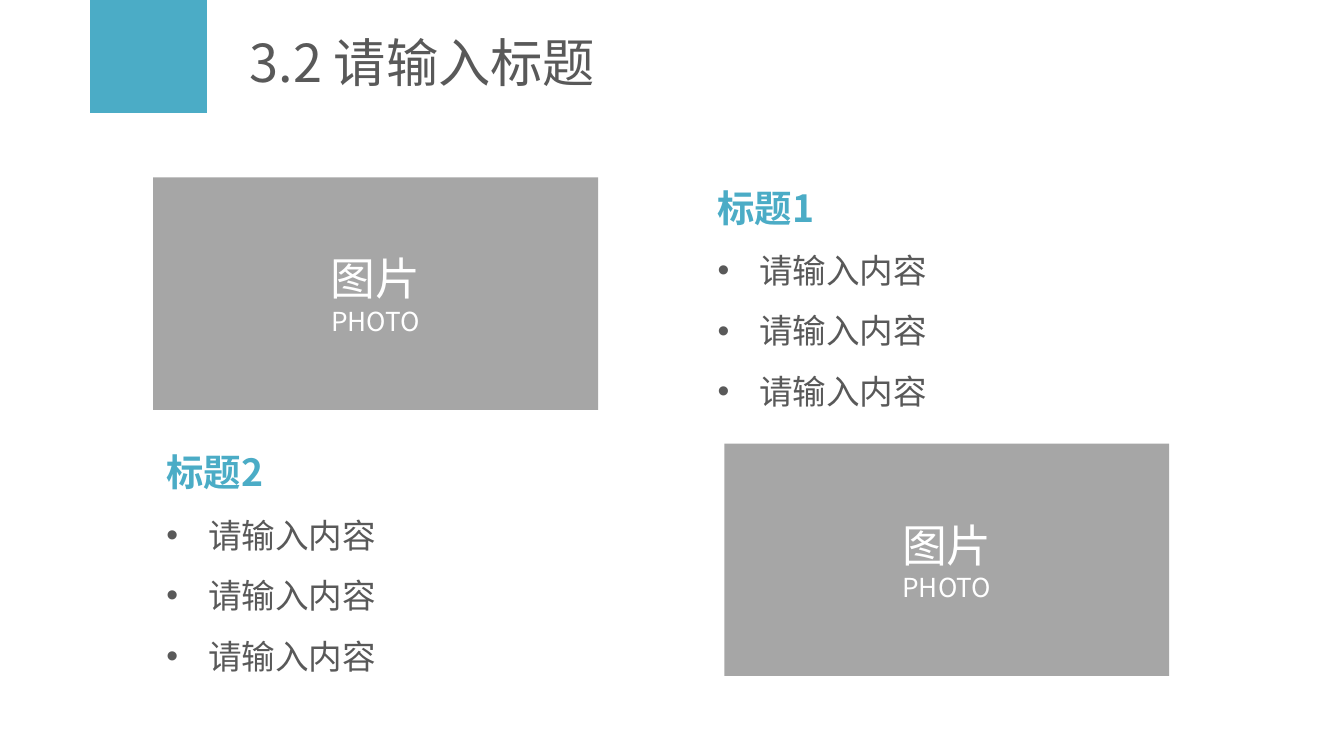
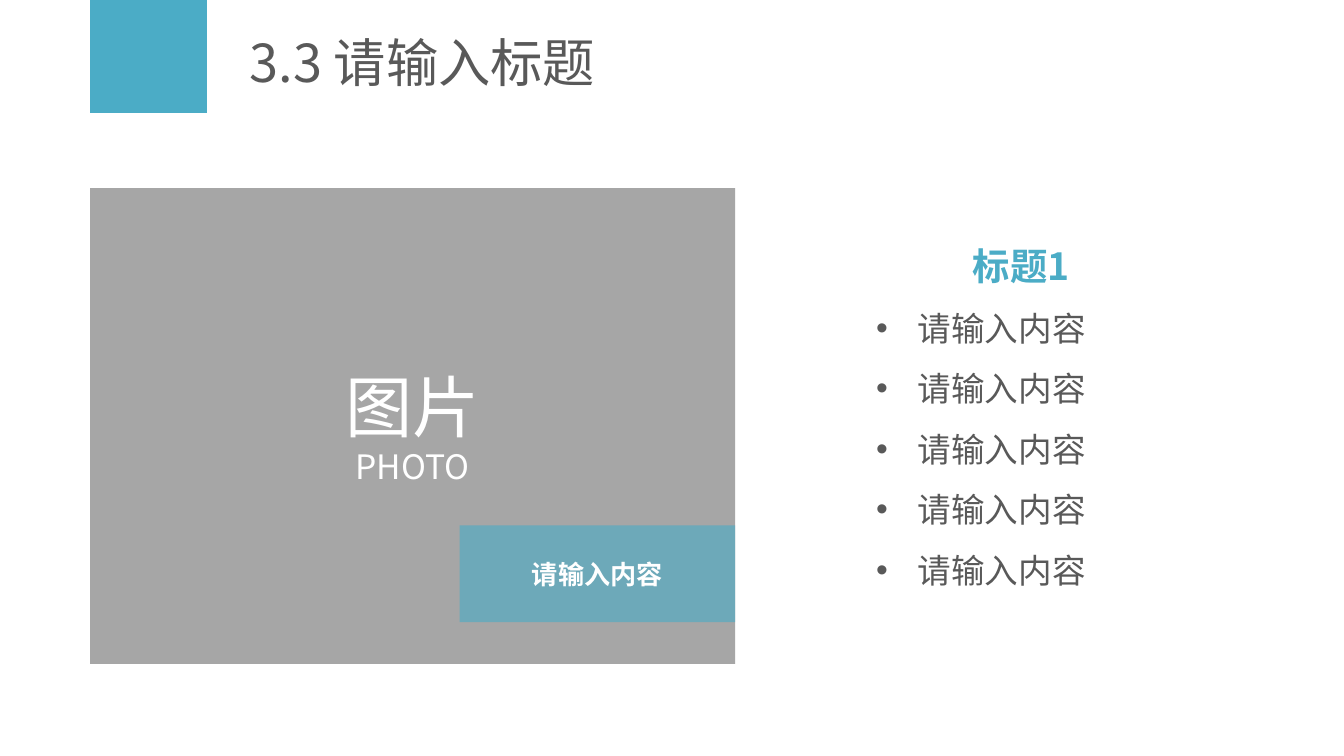
from lxml import etree
from pptx import Presentation
from pptx import util as u
from pptx.dml.color import RGBColor
from pptx.enum import shapes, text
from pptx.oxml.ns import qn

FONT = "Noto Sans CJK SC"
TEAL, GREY, DARK, WHITE = "4BACC6", "A6A6A6", "595959", "FFFFFF"
LEFT, CENTER = text.PP_ALIGN.LEFT, text.PP_ALIGN.CENTER
INDENT = u.Inches(0.31)

presentation = Presentation()
presentation.slide_width = u.Inches(10)
presentation.slide_height = u.Inches(5.625)
column = presentation.slide_width / 100
row = presentation.slide_height / 100


def color(hex_string):
    return RGBColor.from_string(hex_string)


def add_box(slide, area, lines, fill=None, align=LEFT, anchor=text.MSO_ANCHOR.MIDDLE, spacing=None):
    left, top, width, height = area
    place = [round(n) for n in (left * column, top * row, width * column, height * row)]
    if fill:
        shape = slide.shapes.add_shape(shapes.MSO_SHAPE.RECTANGLE, *place)
        shape.shadow.inherit = False
        shape.fill.solid()
        shape.fill.fore_color.rgb = color(fill)
        shape.line.fill.background()
    else:
        shape = slide.shapes.add_textbox(*place)
    frame = shape.text_frame
    frame.word_wrap = True
    frame.vertical_anchor = anchor
    frame.text = "\n".join(line[0] for line in lines)
    for paragraph, (_, size, ink, bold) in zip(frame.paragraphs, lines):
        paragraph.alignment = align
        paragraph.line_spacing = spacing
        paragraph.font.name = FONT
        paragraph.font.size = u.Pt(size)
        paragraph.font.bold = bold
        paragraph.font.color.rgb = color(ink)
        for run in paragraph.runs:
            properties = run.font._element
            etree.SubElement(properties, qn("a:ea"), typeface=FONT)
    return shape


slides = [
    {
        "title": "3.2 请输入标题",
        "photos": [((11.4, 23.47, 33.1, 30.76), 24, 14), ((53.9, 58.67, 33.1, 30.76), 24, 14)],
        "lists": [
            ((52.4, 20.62, 26.8, 35), "标题1", LEFT, 3),
            ((11.4, 55.64, 26.8, 35), "标题2", LEFT, 3),
        ],
    },
    {
        "title": "3.3 请输入标题",
        "photos": [((6.7, 24.89, 48, 62.93), 36, 18)],
        "caption": (34.2, 69.51, 20.5, 12.8),
        "lists": [((64.2, 28.27, 23.6, 51.2), "标题1", CENTER, 5)],
    },
]

for content in slides:
    slide = presentation.slides.add_slide(presentation.slide_layouts[6])
    add_box(slide, (6.7, 0, 8.7, 14.93), [], TEAL)
    add_box(slide, (17.6, 2.49, 78.9, 11.2), [(content["title"], 28, DARK, False)])

    for area, large, small in content["photos"]:
        lines = [("图片", large, WHITE, False), ("PHOTO", small, WHITE, False)]
        add_box(slide, area, lines, GREY, CENTER)

    if "caption" in content:
        caption = add_box(slide, content["caption"], [("请输入内容", 14, WHITE, True)], TEAL, CENTER)
        frame = caption.text_frame
        frame.margin_left = frame.margin_right = frame.margin_top = frame.margin_bottom = 0
        fill_color = caption._element.spPr.find(qn("a:solidFill"))[0]
        etree.SubElement(fill_color, qn("a:alpha"), val="62000")

    for area, heading, heading_align, count in content["lists"]:
        lines = [(heading, 20, TEAL, True)] + [("请输入内容", 18, DARK, False)] * count
        box = add_box(slide, area, lines, anchor=text.MSO_ANCHOR.TOP, spacing=1.5)
        box.text_frame.auto_size = text.MSO_AUTO_SIZE.SHAPE_TO_FIT_TEXT
        first, *items = box.text_frame.paragraphs
        first.alignment = heading_align
        for paragraph in items:
            properties = paragraph._p.get_or_add_pPr()
            properties.set("marL", str(INDENT))
            properties.set("indent", str(-INDENT))
            bullet_font = etree.Element(qn("a:buFont"), typeface="Arial")
            bullet = etree.Element(qn("a:buChar"), char="•")
            defaults = properties.find(qn("a:defRPr"))
            defaults.addprevious(bullet_font)
            defaults.addprevious(bullet)

presentation.save("out.pptx")
